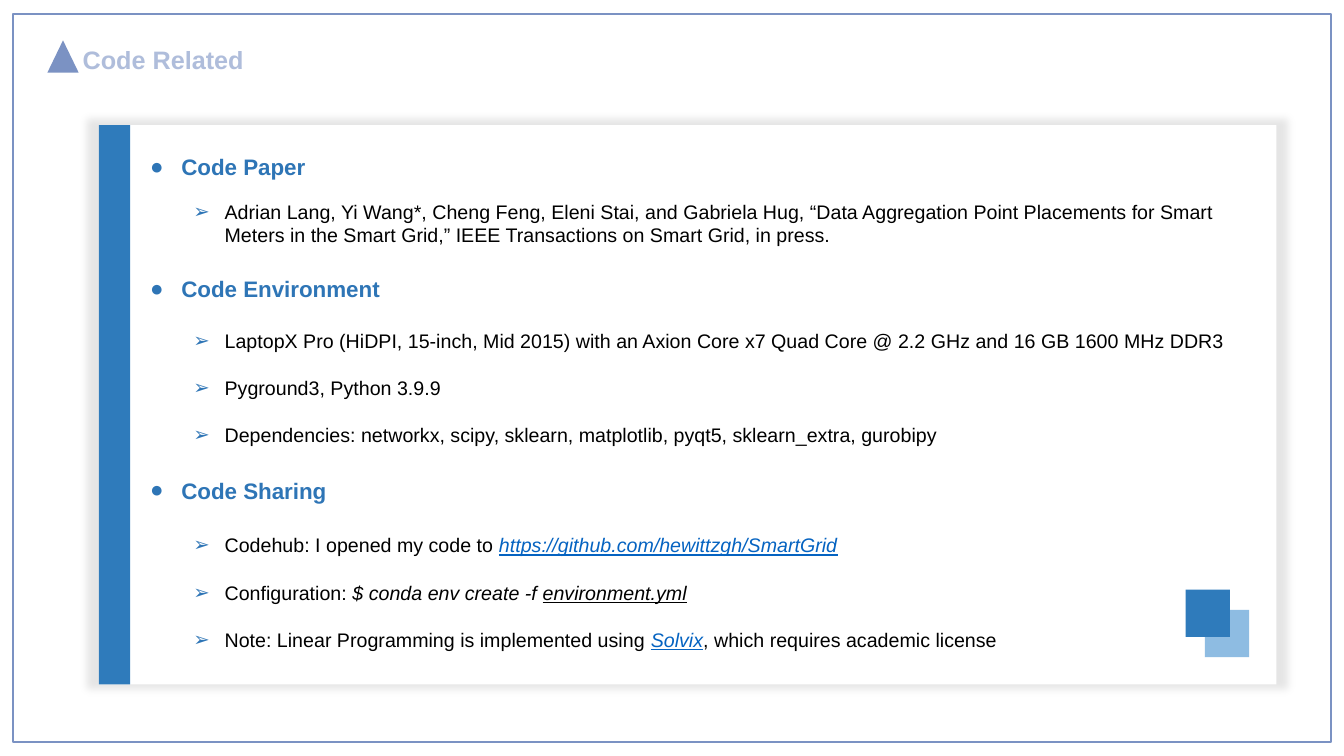
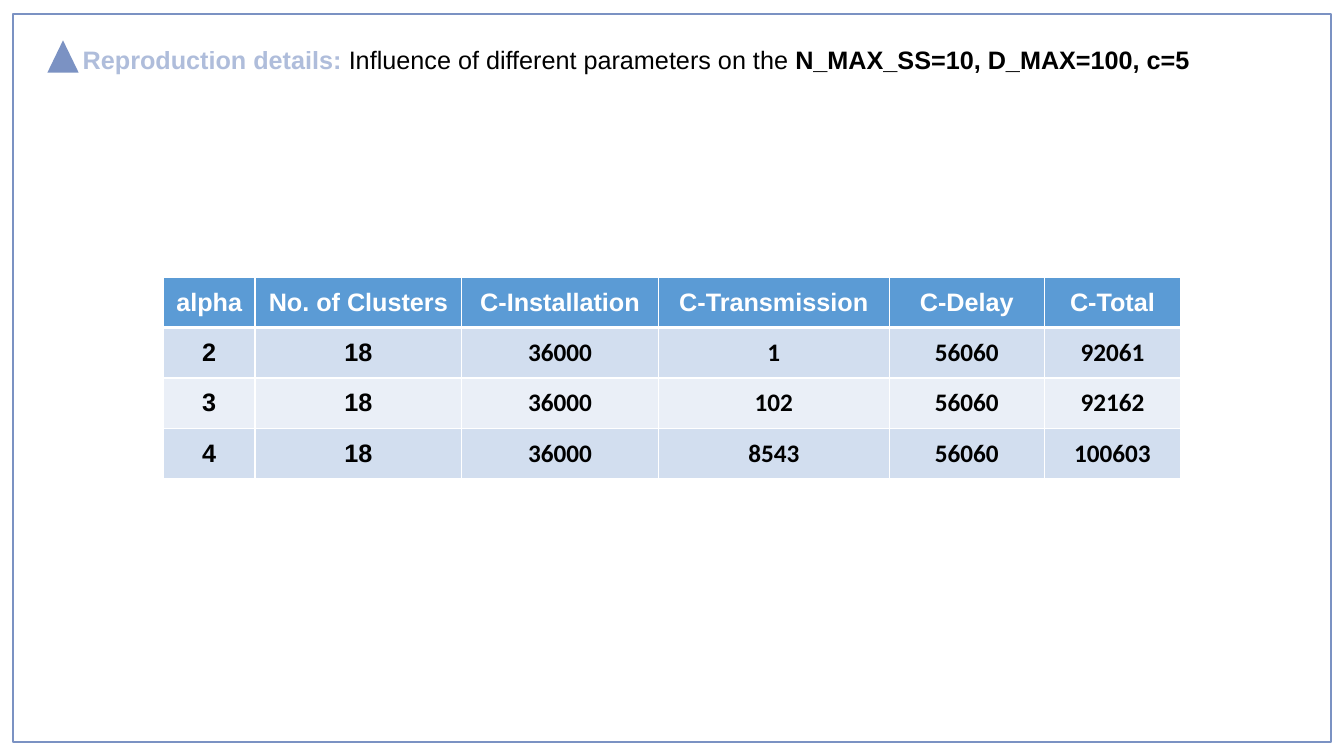
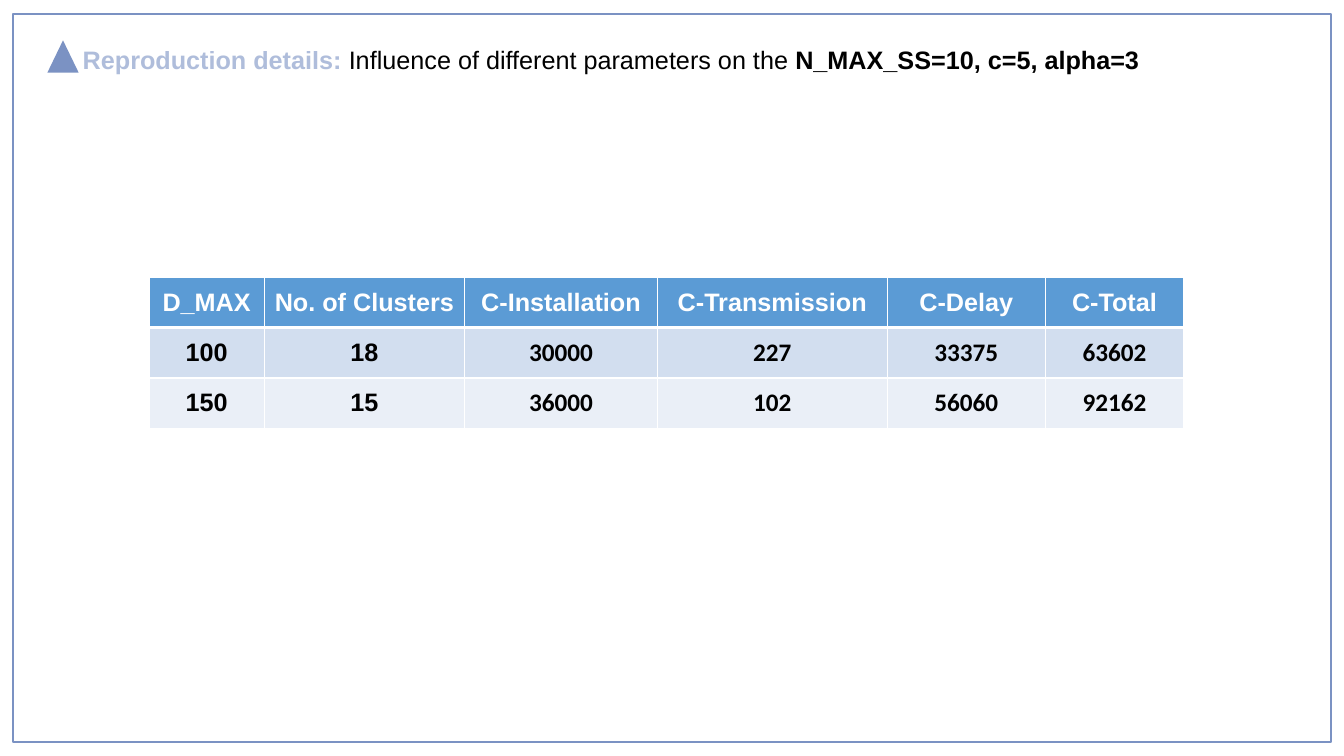
from lxml.etree import SubElement as Sub
from pptx import Presentation
from pptx.dml.color import RGBColor as Rgb
from pptx.enum.shapes import MSO_SHAPE as Geo
from pptx.enum.text import MSO_ANCHOR as Anchor, MSO_AUTO_SIZE as Auto, PP_ALIGN as Align
from pptx.oxml.ns import qn
from pptx.util import Inches, Pt

HEX = {
    "frame": "7B92C3", "white": "FFFFFF", "black": "000000", "blue": "2F7BBB",
    "pale": "8EBCE2", "head": "2E75B6", "link": "0563C1", "top": "5B9BD5",
    "odd": "D2DEEF", "even": "EAEFF7",
}
LEAD = {"size": 18, "bold": True, "color": "frame", "alpha": 60}
PLAIN = {"size": 18, "bold": False, "color": "black"}
BOLD = {"size": 18, "bold": True, "color": "black"}
HEAD = {"size": 16, "bold": True, "color": "head"}
BODY = {"size": 14, "color": "black"}
CODE = {**BODY, "italic": True}
FILE = {**CODE, "underline": True}
LINK = {**FILE, "color": "link"}

FRAME = [
    (Geo.RECTANGLE, (0.13, 0.14, 13.07, 7.22), "white", "frame"),
    (Geo.ISOSCELES_TRIANGLE, (0.47, 0.4, 0.31, 0.32), "frame", None),
]
CARD = [
    ((0.98, 1.24, 11.68, 5.55), "white"),
    ((0.98, 1.24, 0.31, 5.55), "blue"),
    ((11.95, 6.05, 0.44, 0.47), "pale"),
    ((11.76, 5.85, 0.44, 0.47), "blue"),
]
NOTES = [
    ("Code Paper", 1.47, 1.93, 0.57, [
        [("Adrian Lang, Yi Wang*, Cheng Feng, Eleni Stai, and Gabriela Hug, “Data Aggregation Point "
          "Placements for Smart Meters in the Smart Grid,” IEEE Transactions on Smart Grid, in press.", BODY)],
    ]),
    ("Code Environment", 2.68, 3.21, 1.28, [
        [("LaptopX Pro (HiDPI, 15-inch, Mid 2015) with an Axion Core x7 Quad Core @ 2.2 GHz "
          "and 16 GB 1600 MHz DDR3", BODY)],
        [("Pyground3, Python 3.9.9", BODY)],
        [("Dependencies: networkx, scipy, sklearn, matplotlib, pyqt5, sklearn_extra, gurobipy", BODY)],
    ]),
    ("Code Sharing", 4.68, 5.24, 1.28, [
        [("Codehub: I opened my code to ", BODY), ("https://github.com/hewittzgh/SmartGrid", LINK)],
        [("Configuration: ", BODY), ("$ conda env create -f ", CODE), ("environment.yml", FILE)],
        [("Note: Linear Programming is implemented using ", BODY), ("Solvix", LINK),
         (", which requires academic license", BODY)],
    ]),
]
COSTS = ["No. of Clusters", "C-Installation", "C-Transmission", "C-Delay", "C-Total"]
TABLES = [
    ("N_MAX_SS=10, D_MAX=100, c=5", 1.62, [0.91, 2.05, 1.95, 2.29, 1.54, 1.35], [
        ["alpha", *COSTS],
        [2, 18, 36000, 1, 56060, 92061],
        [3, 18, 36000, 102, 56060, 92162],
        [4, 18, 36000, 8543, 56060, 100603],
    ]),
    ("N_MAX_SS=10, c=5, alpha=3", 1.48, [1.14, 1.99, 1.91, 2.28, 1.57, 1.37], [
        ["D_MAX", *COSTS],
        [100, 18, 30000, 227, 33375, 63602],
        [150, 15, 36000, 102, 56060, 92162],
    ]),
]


def shade(name):
    return Rgb.from_string(HEX[name])


def box(nums):
    return [Inches(n) for n in nums]


def draw(slide, geo, at, fill, line=None):
    shape = slide.shapes.add_shape(geo, *box(at))
    shape.shadow.inherit = False
    shape.fill.solid()
    shape.fill.fore_color.rgb = shade(fill)
    if line:
        shape.line.color.rgb = shade(line)
        shape.line.width = Pt(1)
    else:
        shape.line.fill.background()
    return shape


def glow(shape):
    fx = shape.element.spPr.find(qn("a:effectLst"))
    out = Sub(fx, qn("a:outerShdw"), blurRad=str(Pt(5)), sx="102000", sy="102000",
              algn="ctr", rotWithShape="0")
    tone = Sub(out, qn("a:srgbClr"), val=HEX["black"])
    Sub(tone, qn("a:alpha"), val="10000")


def write(para, runs):
    for text, style in runs:
        run = para.add_run()
        run.text = text
        font = run.font
        look = {"name": "Arial", **style}
        tone, alpha = look.pop("color"), look.pop("alpha", None)
        look["size"] = Pt(look["size"])
        for key, val in look.items():
            setattr(font, key, val)
        font.color.rgb = shade(tone)
        if alpha:
            clr = run.font.fill._xPr.find(".//" + qn("a:srgbClr"))
            Sub(clr, qn("a:alpha"), val=str(alpha * 1000))


def bullet(para, mark):
    ppr = para._p.get_or_add_pPr()
    ppr.set("marL", str(Inches(0.31)))
    ppr.set("indent", str(Inches(-0.31)))
    Sub(Sub(ppr, qn("a:buClr")), qn("a:srgbClr"), val=HEX["head"])
    Sub(ppr, qn("a:buFont"), typeface="Arial")
    Sub(ppr, qn("a:buChar"), char=mark)


def items(slide, at, mark, paras):
    frame = slide.shapes.add_textbox(*box(at)).text_frame
    frame.word_wrap = True
    for i, runs in enumerate(paras):
        para = frame.add_paragraph() if i else frame.paragraphs[0]
        bullet(para, mark)
        if i:
            para.space_before = Pt(17)
        write(para, runs)


def start(deck, layout, runs, width):
    slide = deck.slides.add_slide(layout)
    title = slide.shapes.title
    title.left, title.top, title.width, title.height = box((0.72, 0.39, width, 0.4))
    frame = title.text_frame
    frame.word_wrap, frame.auto_size, frame.vertical_anchor = True, Auto.NONE, Anchor.TOP
    para = frame.paragraphs[0]
    para.alignment = Align.LEFT
    write(para, runs)
    return slide


def edge(cell, row):
    props = cell._tc.get_or_add_tcPr()
    wide = {"lnT": 3 if row == 1 else 1, "lnB": 3 if row == 0 else 1}
    for side in ("lnL", "lnR", "lnT", "lnB"):
        line = Sub(props, qn("a:" + side), w=str(Pt(wide.get(side, 1))))
        Sub(Sub(line, qn("a:solidFill")), qn("a:srgbClr"), val=HEX["white"])


def grid(slide, left, cols, rows):
    at = box((left, 2.75, sum(cols), 0.5 * len(rows)))
    table = slide.shapes.add_table(len(rows), len(cols), *at).table
    for col, width in zip(table.columns, cols):
        col.width = Inches(width)
    for r, row in enumerate(rows):
        for c, val in enumerate(row):
            cell = table.cell(r, c)
            edge(cell, r)
            cell.fill.solid()
            cell.fill.fore_color.rgb = shade("top" if r == 0 else "odd" if r % 2 else "even")
            cell.vertical_anchor = Anchor.MIDDLE
            para = cell.text_frame.paragraphs[0]
            para.alignment = Align.CENTER
            look = {**BOLD, "color": "black" if r else "white",
                    "name": "Calibri" if r and c > 1 else "Arial"}
            write(para, [(str(val), look)])


def main():
    deck = Presentation()
    deck.slide_width, deck.slide_height = box((13.33, 7.5))
    layout = deck.slide_layouts[5]

    slide = start(deck, layout, [("Code Related", LEAD)], 3.28)
    for part in FRAME:
        layout.shapes.element.append(draw(slide, *part).element)
    cards = [draw(slide, Geo.RECTANGLE, *part) for part in CARD]
    glow(cards[0])
    for head, top, low, high, paras in NOTES:
        items(slide, (1.39, top, 10.26, 0.37), "●", [[(head, HEAD)]])
        items(slide, (1.82, low, 10.56, high), "➢", paras)

    for case, left, cols, rows in TABLES:
        slide = start(deck, layout, [
            ("Reproduction details: ", LEAD),
            ("Influence of different parameters on the ", PLAIN),
            (case, BOLD),
        ], 11.78)
        grid(slide, left, cols, rows)

    deck.save("out.pptx")


if __name__ == "__main__":
    main()
